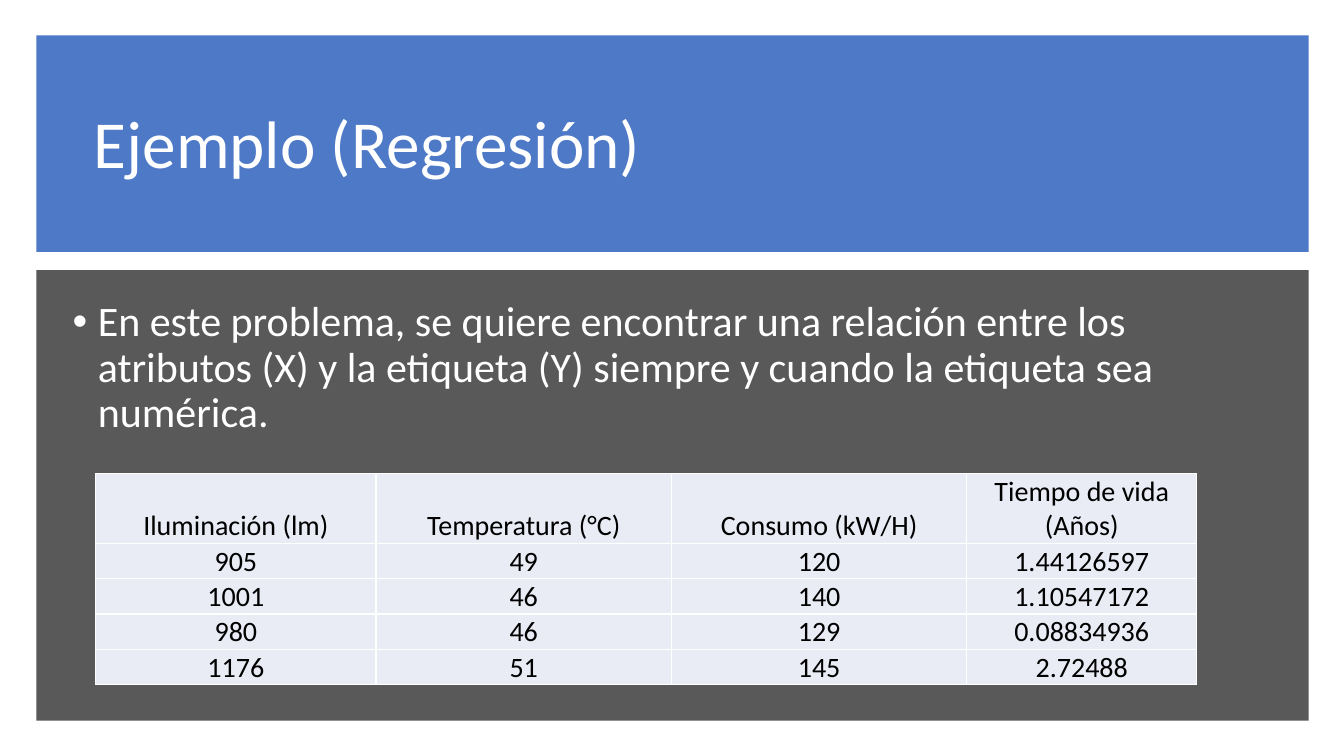
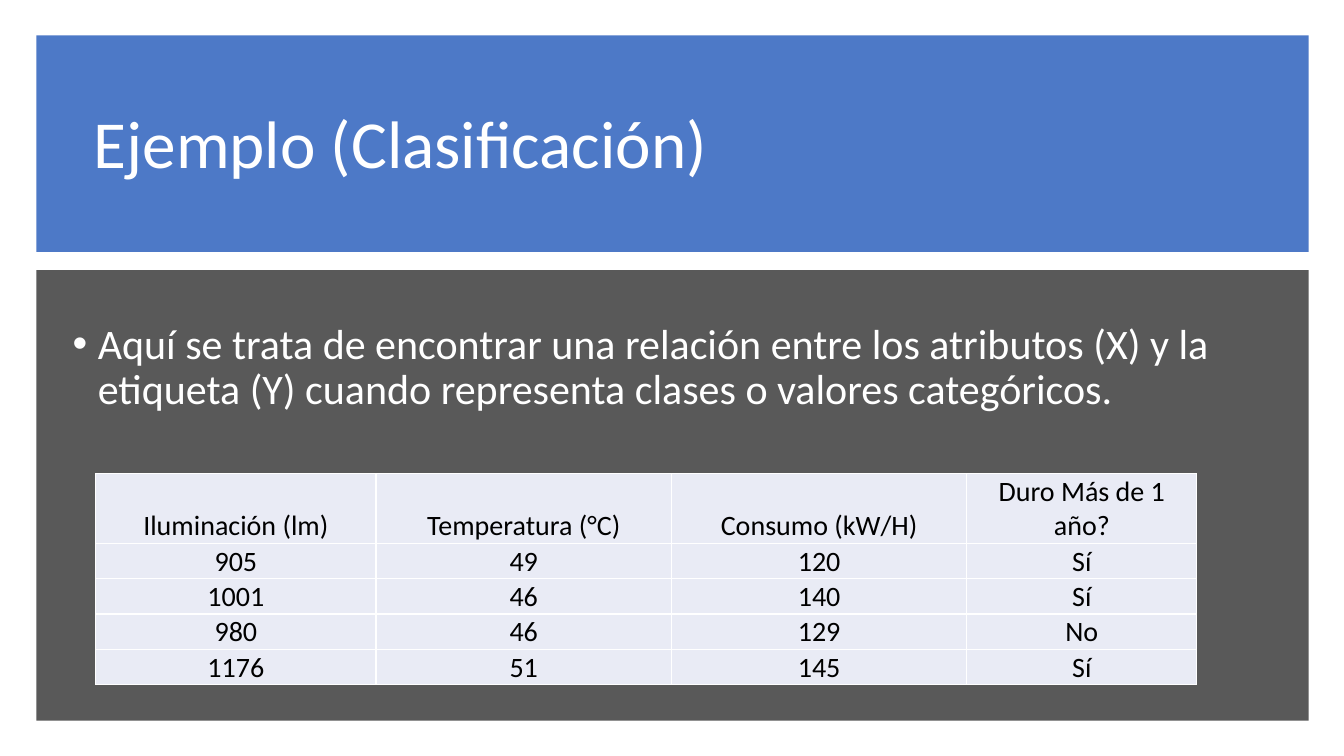
from lxml.etree import SubElement
from pptx import Presentation
from pptx.dml.color import RGBColor
from pptx.enum.shapes import MSO_SHAPE
from pptx.enum.text import MSO_ANCHOR, MSO_AUTO_SIZE, PP_ALIGN
from pptx.oxml.ns import qn
from pptx.util import Inches, Pt

BLUE = RGBColor(0x44, 0x72, 0xC4)
GRAY = RGBColor(0x59, 0x59, 0x59)
WHITE = RGBColor(0xFF, 0xFF, 0xFF)
BLACK = RGBColor(0x00, 0x00, 0x00)
PALE = RGBColor(0xE9, 0xEB, 0xF5)
FONT = "Calibri"

TITLE_BAND = (0.36, 0.35, 12.62, 2.15)
BODY_BAND = (0.36, 2.68, 12.62, 4.47)
TITLE_BOX = (0.83, 0.57, 11.76, 1.78)
BODY_BOX = (0.62, 1.78, 11.76, 3.75)
TABLE_BOX = (0.95, 4.7, 10.92, 1.67)
COLUMN_SHARES = (2.78, 2.93, 2.93, 2.28)
ROW_SHARES = (2, 1, 1, 1, 1)

ATTRIBUTE_HEADERS = ("Iluminación (lm)", "Temperatura (°C)", "Consumo (kW/H)")
ATTRIBUTE_ROWS = (
    ("905", "49", "120"),
    ("1001", "46", "140"),
    ("980", "46", "129"),
    ("1176", "51", "145"),
)

EXAMPLES = (
    (
        "Ejemplo (Regresión)",
        "En este problema, se quiere encontrar una relación entre los atributos (X) "
        "y la etiqueta (Y) siempre y cuando la etiqueta sea numérica.",
        "Tiempo de vida (Años)",
        ("1.44126597", "1.10547172", "0.08834936", "2.72488"),
    ),
    (
        "Ejemplo (Clasificación)",
        "Aquí se trata de encontrar una relación entre los atributos (X) "
        "y la etiqueta (Y) cuando representa clases o valores categóricos.",
        "Duro Más de 1 año?",
        ("Sí", "Sí", "No", "Sí"),
    ),
)


def inches(box):
    return [Inches(length) for length in box]


def style_paragraph(paragraph, size, color, alignment):
    paragraph.alignment = alignment
    paragraph.font.name = FONT
    paragraph.font.size = Pt(size)
    paragraph.font.color.rgb = color


def add_band(page, box, color, opacity=100):
    band = page.shapes.add_shape(MSO_SHAPE.RECTANGLE, *inches(box))
    band.shadow.inherit = False
    band.fill.solid()
    band.fill.fore_color.rgb = color
    band.line.fill.background()
    if opacity < 100:
        for fill_color in band.element.iter(qn("a:srgbClr")):
            SubElement(fill_color, qn("a:alpha"), val=str(opacity * 1000))
    page.shapes.title.element.addprevious(band.element)


def fill_placeholder(placeholder, box, text, size):
    placeholder.left, placeholder.top, placeholder.width, placeholder.height = inches(box)
    frame = placeholder.text_frame
    frame.text = text
    frame.word_wrap = True
    frame.auto_size = MSO_AUTO_SIZE.NONE
    frame.vertical_anchor = MSO_ANCHOR.MIDDLE
    paragraph = frame.paragraphs[0]
    paragraph.line_spacing = 0.9
    style_paragraph(paragraph, size, WHITE, PP_ALIGN.LEFT)
    return paragraph


def add_bullet(placeholder, box, text):
    paragraph = fill_placeholder(placeholder, box, text, 30)
    paragraph.space_before = Pt(10)
    for properties in placeholder.element.iter(qn("a:pPr")):
        properties.set("marL", str(Inches(0.25)))
        properties.set("indent", str(Inches(-0.25)))


def fill_cell(cell, text):
    cell.text = text
    cell.fill.solid()
    cell.fill.fore_color.rgb = PALE
    cell.vertical_anchor = MSO_ANCHOR.BOTTOM
    cell.margin_left = cell.margin_right = cell.margin_top = Inches(0.01)
    cell.margin_bottom = 0
    style_paragraph(cell.text_frame.paragraphs[0], 20, BLACK, PP_ALIGN.CENTER)


def add_data_table(page, box, rows):
    left, top, width, height = inches(box)
    table = page.shapes.add_table(len(rows), len(rows[0]), left, top, width, height).table
    table.first_row = False
    table.horz_banding = False
    for column, share in zip(table.columns, COLUMN_SHARES):
        column.width = int(width * share / sum(COLUMN_SHARES))
    for row, share, texts in zip(table.rows, ROW_SHARES, rows):
        row.height = int(height * share / sum(ROW_SHARES))
        for cell, text in zip(row.cells, texts):
            fill_cell(cell, text)


def add_example(deck, title, statement, label_header, labels):
    page = deck.slides.add_slide(deck.slide_layouts[1])
    add_band(page, TITLE_BAND, BLUE, 95)
    add_band(page, BODY_BAND, GRAY)
    fill_placeholder(page.shapes.title, TITLE_BOX, title, 48)
    add_bullet(page.placeholders[1], BODY_BOX, statement)
    rows = [(*ATTRIBUTE_HEADERS, label_header)]
    rows += [(*values, label) for values, label in zip(ATTRIBUTE_ROWS, labels)]
    add_data_table(page, TABLE_BOX, rows)


def main():
    deck = Presentation()
    deck.slide_width = Inches(13.33)
    deck.slide_height = Inches(7.5)
    for example in EXAMPLES:
        add_example(deck, *example)
    deck.save("out.pptx")


if __name__ == "__main__":
    main()
